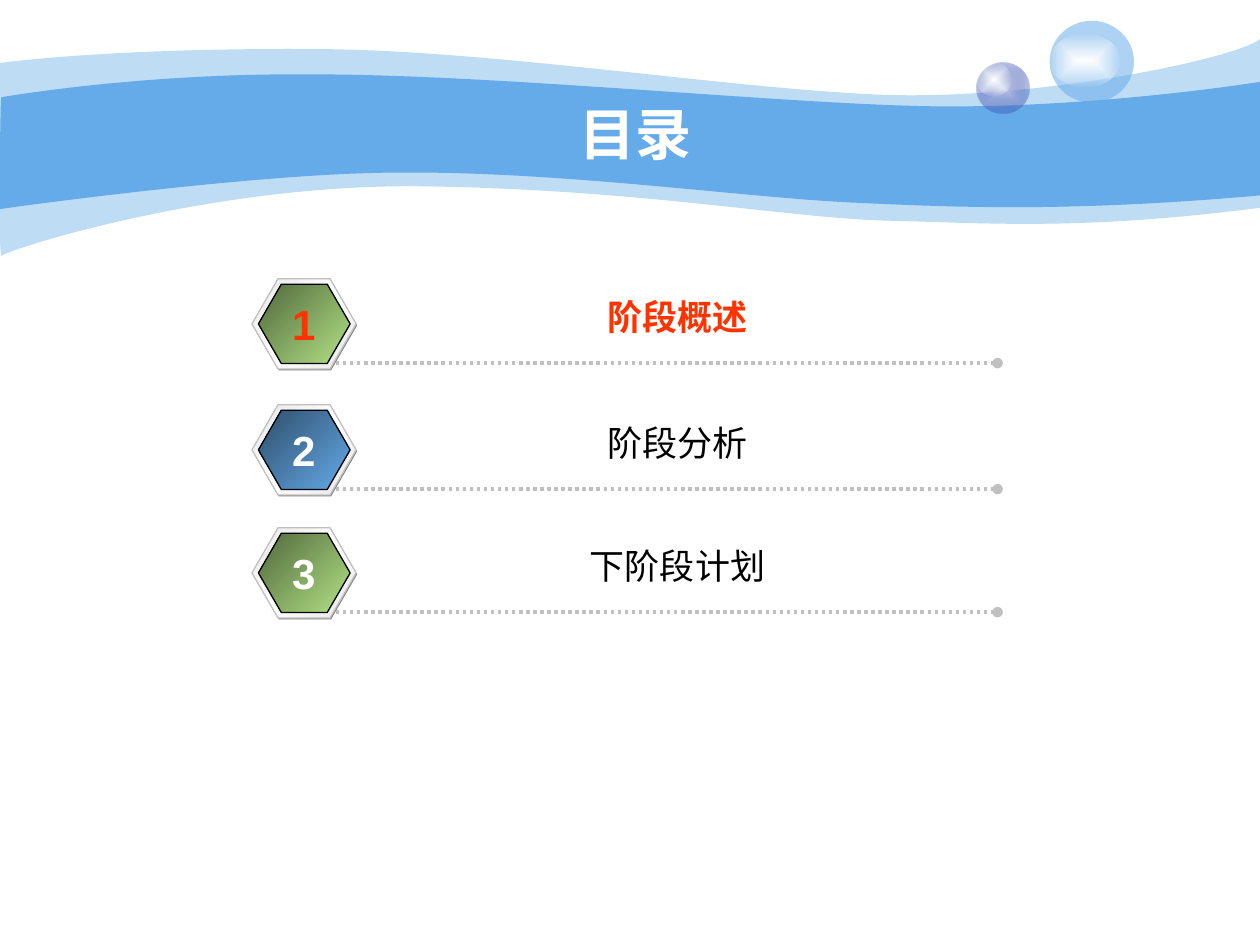
from dataclasses import dataclass

from lxml import etree
from pptx import Presentation
from pptx import util as u
from pptx.dml.color import RGBColor
from pptx.enum import dml, shapes, text
from pptx.oxml import parse_xml
from pptx.oxml.ns import nsdecls, qn


@dataclass(frozen=True)
class Theme:
    font: str = "Arial"
    title_size: int = 32
    number_size: int = 24
    label_size: int = 20
    blue: str = "65AAE9"
    white: str = "FFFFFF"
    black: str = "000000"
    active: str = "FF3300"
    silver: str = "C0C0C0"
    shade: str = "808080"
    rim: tuple = ((0, "E6E6E6", 100), (50, "FFFFFF", 100), (100, "E6E6E6", 100))
    green_face: tuple = ((0, "B2E385", 100), (100, "52683D", 100))
    blue_face: tuple = ((0, "65AAE9", 100), (100, "2E4E6B", 100))
    violet_ball: tuple = ((0, "C6CCE8", 100), (100, "233DA9", 31))
    highlight: tuple = ((0, "FFFFFF", 100), (100, "FEFEFE", 0))


THEME = Theme()

# Centimetres: a single pair is a straight line, three pairs a Bezier curve.
OUTER_WAVE = [
    [(0, 1.27)],
    [(0.61, 1.19), (2.72, 0.97), (6.27, 0.99)],
    [(9.8, 0.99), (14.61, 1.78), (17.75, 1.91)],
    [(20.88, 2.03), (24.89, 1.19), (25.4, 0.79)],
    [(25.4, 4.19)],
    [(21.79, 4.65), (19.99, 4.5), (17.91, 4.45)],
    [(15.8, 4.39), (13.08, 3.84), (8.71, 3.76)],
    [(4.37, 3.66), (0.1, 5.05), (0.03, 5.16)],
    [(-0.03, 5.28), (0, 1.91), (0, 1.27)],
]
INNER_WAVE = [
    [(0.03, 1.96)],
    [(0.05, 1.96), (2.79, 1.47), (6.3, 1.5)],
    [(9.8, 1.5), (15.11, 2.03), (18.24, 2.13)],
    [(21.36, 2.24), (24.79, 1.75), (25.4, 1.65)],
    [(25.4, 3.94)],
    [(21.67, 4.27), (19.43, 4.19), (17.32, 4.09)],
    [(15.21, 4.01), (11.35, 3.45), (8.05, 3.48)],
    [(5.16, 3.48), (-0.05, 4.22), (-0.03, 4.22)],
    [(0, 4.22), (0, 1.96), (0.03, 1.96)],
]


def fill_solid(shape, color, opacity=100):
    shape.fill.solid()
    shape.fill.fore_color.rgb = RGBColor.from_string(color)
    if opacity < 100:
        color_node = shape._element.spPr.find(qn("a:solidFill"))[0]
        etree.SubElement(color_node, qn("a:alpha"), val=str(opacity * 1000))


def fill_gradient(shape, stops, angle=None):
    """Fill along an angle, or outwards from the centre if there is none."""
    stop_xml = "".join(
        f'<a:gs pos="{position * 1000}"><a:srgbClr val="{color}">'
        f'<a:alpha val="{opacity * 1000}"/></a:srgbClr></a:gs>'
        for position, color, opacity in stops)
    if angle is None:
        direction = ('<a:path path="rect"><a:fillToRect l="50000" t="50000" '
                     'r="50000" b="50000"/></a:path>')
    else:
        direction = f'<a:lin ang="{angle * 60000}" scaled="1"/>'
    shape.fill.solid()
    properties = shape._element.spPr
    properties.replace(properties.find(qn("a:solidFill")), parse_xml(
        f'<a:gradFill {nsdecls("a")} rotWithShape="1"><a:gsLst>{stop_xml}'
        f'</a:gsLst>{direction}</a:gradFill>'))


def set_outline(shape, color=None):
    if color is None:
        shape.line.fill.background()
    else:
        shape.line.color.rgb = RGBColor.from_string(color)
        shape.line.width = u.Pt(0.75)


def add_preset(parent, kind, left, top, width, height, outline=None):
    shape = parent.shapes.add_shape(
        kind, u.Cm(left), u.Cm(top), u.Cm(width), u.Cm(height))
    shape.shadow.inherit = False
    set_outline(shape, outline)
    return shape


def write_centred(shape, wording, size, color, bold):
    frame = shape.text_frame
    frame.text = wording
    paragraph = frame.paragraphs[0]
    paragraph.alignment = text.PP_ALIGN.CENTER
    font = paragraph.runs[0].font
    font.name, font.size, font.bold = THEME.font, u.Pt(size), bold
    font.color.rgb = RGBColor.from_string(color)


def bend_outline(shape, segments):
    """Turn each run of three outline points into one Bezier curve."""
    lines = iter(list(shape._element.iter(qn("a:lnTo"))))
    for segment in segments[1:]:
        nodes = [next(lines) for _ in segment]
        if len(nodes) == 3:
            curve = etree.Element(qn("a:cubicBezTo"))
            nodes[0].addprevious(curve)
            for node in nodes:
                curve.append(node[0])
                node.getparent().remove(node)


def add_wave(slide, left, top, segments, opacity):
    points = [(u.Cm(left + x), u.Cm(top + y)) for segment in segments for x, y in segment]
    builder = slide.shapes.build_freeform(*points[0])
    builder.add_line_segments(points[1:], close=True)
    wave = builder.convert_to_shape()
    bend_outline(wave, segments)
    wave.shadow.inherit = False
    fill_solid(wave, THEME.blue, opacity)
    set_outline(wave)
    return wave


def add_bubbles(slide, left, top):
    oval = shapes.MSO_SHAPE.OVAL
    violet = slide.shapes.add_group_shape()
    fill_gradient(add_preset(violet, oval, left, top + 0.84, 1.07, 1.02),
                  THEME.violet_ball)
    fill_gradient(add_preset(violet, oval, left, top + 0.84, 0.71, 0.69),
                  THEME.highlight)
    blue = slide.shapes.add_group_shape()
    fill_solid(add_preset(blue, oval, left + 1.48, top, 1.7, 1.65), THEME.blue, 53)
    fill_gradient(add_preset(blue, oval, left + 1.48, top + 0.26, 1.42, 1.09),
                  THEME.highlight)
    return violet, blue


def move_to_master(master, decorations):
    tree = master.shapes._spTree
    for shape in decorations:
        tree.append(shape._element)
    for number, node in enumerate(tree.iter(qn("p:cNvPr")), 1):
        node.set("id", str(number))


def add_header(slide, left, top):
    decorations = [add_wave(slide, left, top, OUTER_WAVE, 41),
                   add_wave(slide, left, top, INNER_WAVE, 100),
                   *add_bubbles(slide, left + 19.68, top + 0.42)]
    move_to_master(slide.slide_layout.slide_master, decorations)
    title = slide.shapes.title
    title.left, title.top = u.Cm(left + 2.54), u.Cm(top + 1.9)
    title.width, title.height = u.Cm(20.54), u.Cm(1.57)
    title.text_frame.vertical_anchor = text.MSO_ANCHOR.MIDDLE
    write_centred(title, "目录", THEME.title_size, THEME.white, True)


def add_badge(slide, left, top, face):
    badge = slide.shapes.add_group_shape()
    hexagon = shapes.MSO_SHAPE.HEXAGON
    shade = add_preset(badge, hexagon, left + 0.02, top + 0.03, 2.1, 1.82)
    rim = add_preset(badge, hexagon, left, top, 2.1, 1.82, THEME.silver)
    front = add_preset(badge, hexagon, left + 0.13, top + 0.11, 1.85, 1.6, THEME.black)
    for shape in (shade, rim, front):
        shape.adjustments[0] = 0.289
    fill_solid(shade, THEME.shade)
    fill_gradient(rim, THEME.rim, 225)
    fill_gradient(front, face, 225)


def add_dotted_rule(slide, left, top, width):
    rule = slide.shapes.add_connector(
        shapes.MSO_CONNECTOR.STRAIGHT,
        u.Cm(left), u.Cm(top), u.Cm(left + width), u.Cm(top))
    rule.line.color.rgb = RGBColor.from_string(THEME.silver)
    rule.line.width = u.Pt(2)
    rule.line.dash_style = dml.MSO_LINE.ROUND_DOT
    etree.SubElement(rule.line._get_or_add_ln(), qn("a:tailEnd"), type="oval")
    etree.SubElement(rule._element.spPr, qn("a:effectLst"))


def add_text(slide, left, top, width, height, wording, size, color, bold, wrap):
    box = slide.shapes.add_textbox(u.Cm(left), u.Cm(top), u.Cm(width), u.Cm(height))
    box.text_frame.word_wrap = wrap
    box.text_frame.auto_size = text.MSO_AUTO_SIZE.SHAPE_TO_FIT_TEXT
    write_centred(box, wording, size, color, bold)


def add_agenda_row(slide, left, top, number, label, face, active):
    add_badge(slide, left, top, face)
    add_dotted_rule(slide, left + 1.69, top + 1.7, 13.34)
    add_text(slide, left + 2.33, top + 0.22, 12.5, 1.12, label, THEME.label_size,
             THEME.active if active else THEME.black, active, True)
    add_text(slide, left + 0.56, top + 0.28, 0.97, 1.27, str(number), THEME.number_size,
             THEME.active if active else THEME.white, True, False)


def main():
    presentation = Presentation()
    presentation.slide_width, presentation.slide_height = u.Cm(25.4), u.Cm(19.05)
    slide = presentation.slides.add_slide(presentation.slide_layouts[5])
    add_header(slide, 0, 0)
    rows = [(5.62, "阶段概述", THEME.green_face),
            (8.16, "阶段分析", THEME.blue_face),
            (10.64, "下阶段计划", THEME.green_face)]
    for number, (top, label, face) in enumerate(rows, 1):
        add_agenda_row(slide, 5.08, top, number, label, face, active=number == 1)
    presentation.save("out.pptx")


if __name__ == "__main__":
    main()
